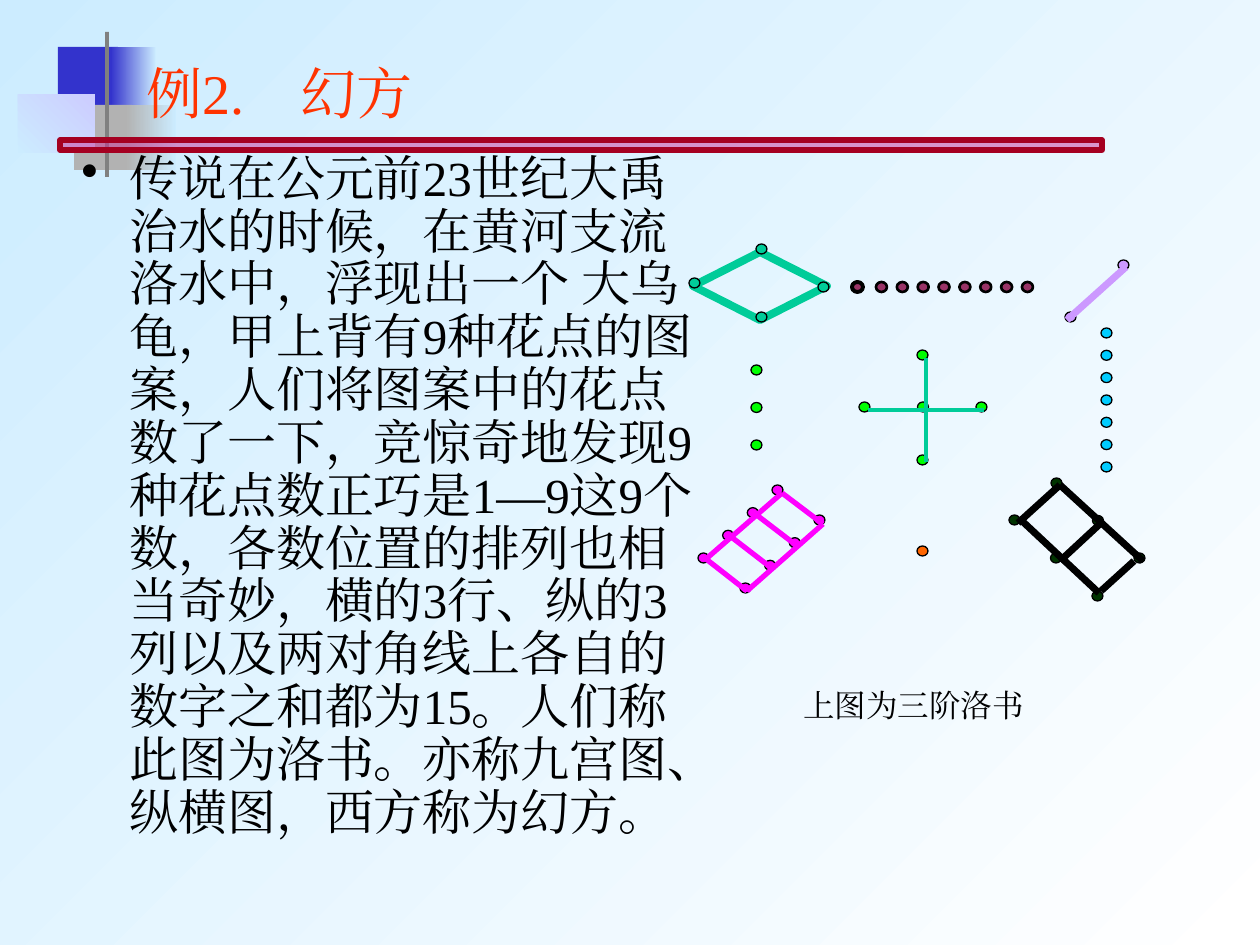
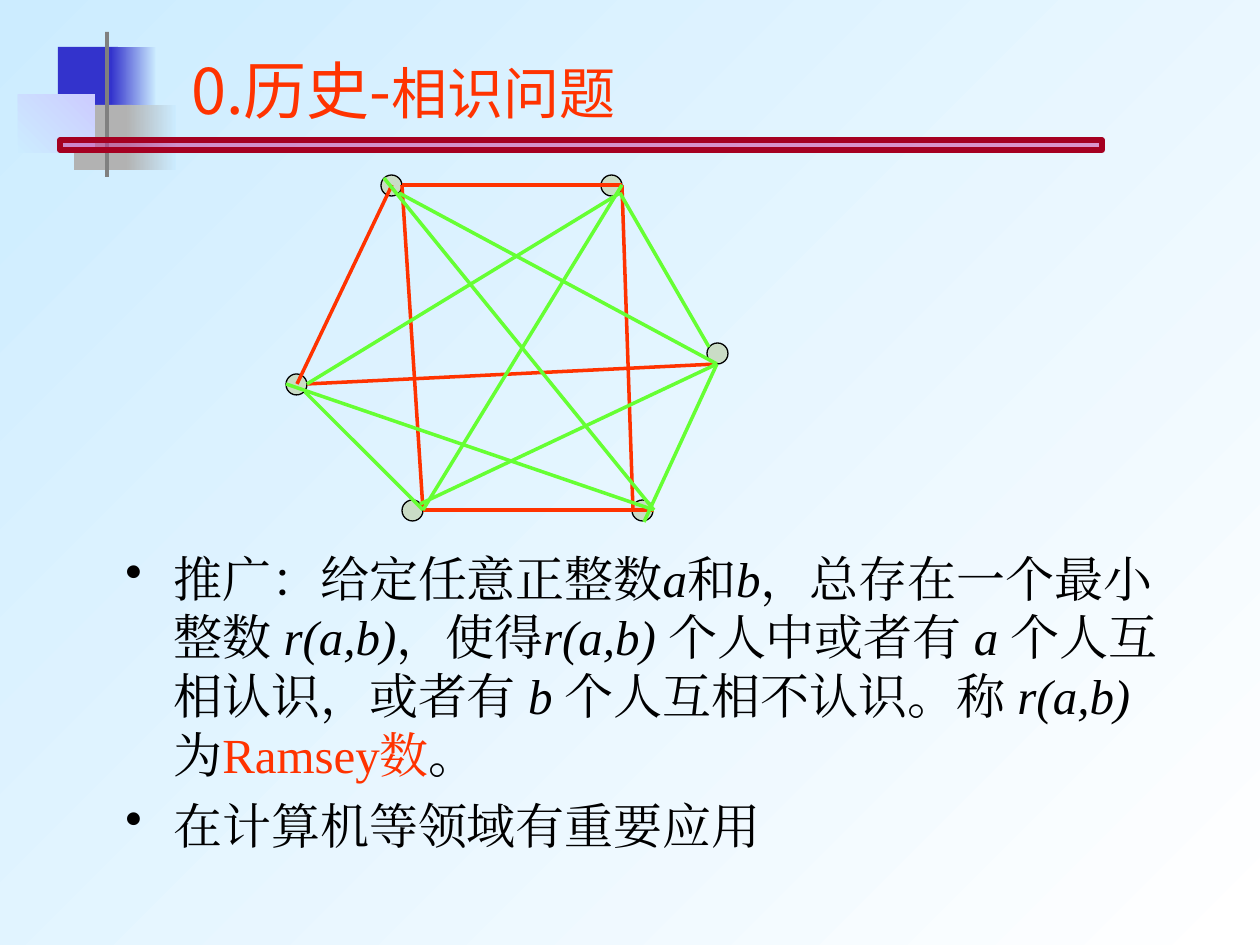
from lxml import etree
from pptx import Presentation
from pptx import util as u
from pptx.dml.color import RGBColor
from pptx.enum import shapes, text
from pptx.oxml.ns import qn

EMU_PER_PX = u.Inches(1) / 126
SLIDE_SIZE = (1260, 945)

COLORS = {
    "sky": "CCECFF", "white": "FFFFFF", "black": "000000", "blue": "3333CC",
    "silver": "B2B2B2", "lavender": "CCCCFF", "gray": "808080",
    "plum": "CC3399", "crimson": "A50021", "red": "FF3300",
    "teal": "00CC99", "wine": "993366", "lilac": "CC99FF", "cyan": "00CCFF",
    "lime": "00FF00", "orange": "FF6600", "pine": "003300",
    "magenta": "FF00FF", "sage": "CADCC6", "green": "66FF33",
}
SERIF = "Times New Roman"
BODY = {"size": 28, "name": SERIF, "color": "black"}
ITALIC = BODY | {"italic": True}
TITLE = {"size": 32, "name": SERIF, "color": "red"}

# Corner decoration: box, fill (one colour, or two colours and an angle)
CORNER = [
    ((58, 47, 60, 65), "blue"),
    ((111, 47, 45, 65), ("blue", "sky", 0)),
    ((74, 105, 58, 65), "silver"),
    ((126, 105, 50, 65), ("silver", "sky", 0)),
    ((18, 95, 77, 58), ("sky", "lavender", 315)),
    ((105, 32, 4, 145), "gray"),
]
TITLE_BAR = (60, 140, 1042, 10)

LUOSHU_TITLE = [("例2.　幻方", TITLE)]
LUOSHU_STORY = [[(
    "传说在公元前23世纪大禹治水的时候，在黄河支流洛水中，浮现出一个 大乌龟，"
    "甲上背有9种花点的图案，人们将图案中的花点数了一下，竞惊奇地发现9种花点数"
    "正巧是1—9这9个数，各数位置的排列也相当奇妙，横的3行、纵的3列以及两对角线上"
    "各自的数字之和都为15。人们称此图为洛书。亦称九宫图、纵横图，西方称为幻方。",
    BODY)]]
LUOSHU_CAPTION = [("上图为三阶洛书", BODY | {"size": 18})]

DIAMOND = (693, 252, 134, 68)
DOT_SIZE = (11, 10)
# Rows of dots: colour, outline width, first corner, last corner, count
DOT_ROWS = [
    ("teal", 0.75, (756, 244), (756, 312), 2),
    ("teal", 0.75, (689, 278), (818, 282), 2),
    ("wine", 2.25, (852, 282), (852, 282), 1),
    ("wine", 1.5, (876, 282), (1022, 282), 8),
    ("lilac", 0.75, (1065, 312), (1118, 260), 2),
    ("cyan", 0.75, (1101, 328), (1101, 462), 7),
    ("lime", 0.75, (751, 365), (751, 440), 3),
    ("orange", 0.75, (917, 546), (917, 546), 1),
    ("pine", 0.75, (1051, 478), (1134, 553), 3),
    ("pine", 0.75, (1009, 515), (1092, 591), 3),
    ("lime", 0.75, (859, 402), (976, 402), 3),
    ("lime", 0.75, (917, 350), (917, 455), 2),
    ("magenta", 0.75, (698, 553), (772, 485), 4),
    ("magenta", 0.75, (740, 583), (814, 515), 4),
]
LADDER_RAILS = [((706, 559), (782, 493)), ((747, 591), (823, 524))]
LADDER_RUNGS = 4
LUOSHU_LINES = [
    ("black", 4, [((1134, 561), (1101, 591)), ((1060, 561), (1101, 523)),
                  ((1018, 523), (1060, 485)), ((1021, 520), (1099, 593)),
                  ((1060, 485), (1143, 561))]),
    ("lilac", 4, [((1126, 267), (1067, 320))]),
    ("magenta", 3, LADDER_RAILS),
    ("teal", 2.5, [((926, 358), (926, 462)), ((868, 410), (984, 410))]),
]

RAMSEY_TITLE = [
    ("0.历史-", TITLE | {"size": 36, "name": "Noto Sans CJK SC"}),
    ("相识问题", TITLE | {"name": "Arial"}),
]
RAMSEY_POINTS = [
    [("推广：给定任意正整数", BODY), ("a", ITALIC), ("和", BODY), ("b", ITALIC),
     ("，总存在一个最小整数 ", BODY), ("r(a,b)", ITALIC), ("，使得", BODY),
     ("r(a,b) ", ITALIC), ("个人中或者有 ", BODY), ("a ", ITALIC),
     ("个人互相认识，或者有 ", BODY), ("b ", ITALIC),
     ("个人互相不认识。称 ", BODY), ("r(a,b) ", ITALIC), ("为", BODY),
     ("Ramsey数", BODY | {"color": "red"}), ("。", BODY)],
    [("在计算机等领域有重要应用", BODY)],
]
PERSON_SIZE = (21, 21)
PEOPLE = [(632, 500), (402, 500), (707, 343), (286, 374), (601, 175), (381, 175)]
RELATIONS = [
    ("red", 2, [((392, 185), (297, 384)), ((402, 185), (622, 185)),
                ((423, 510), (654, 510)), ((402, 185), (423, 510)),
                ((622, 185), (633, 510)), ((307, 384), (717, 364))]),
    ("green", 2, [((305, 392), (423, 510)), ((620, 193), (709, 347)),
                  ((717, 364), (644, 522)), ((622, 185), (423, 510)),
                  ((384, 178), (654, 510)), ((399, 193), (717, 364)),
                  ((620, 193), (307, 384)), ((420, 504), (717, 364)),
                  ((286, 384), (654, 510))]),
]


def px(*lengths):
    return [u.Emu(round(length * EMU_PER_PX)) for length in lengths]


def rgb(name):
    return RGBColor.from_string(COLORS[name])


def spread(first, last, count):
    """Return count evenly spaced points from first to last."""
    gaps = max(count - 1, 1)
    return [tuple(a + (b - a) * i / gaps for a, b in zip(first, last))
            for i in range(count)]


def paint(fill, color):
    """Fill with nothing, one colour, or a (start, end, clockwise angle) gradient."""
    if color is None:
        fill.background()
    elif isinstance(color, str):
        fill.solid()
        fill.fore_color.rgb = rgb(color)
    else:
        *ends, angle = color
        fill.gradient()
        fill.gradient_angle = (360 - angle) % 360
        for stop, end in zip(fill.gradient_stops, ends):
            stop.color.rgb = rgb(end)


def add_figure(slide, kind, box, fill=None, line=None, width=0.75):
    figure = slide.shapes.add_shape(kind, *px(*box))
    figure.shadow.inherit = False
    paint(figure.fill, fill)
    paint(figure.line.fill, line)
    if line:
        figure.line.width = u.Pt(width)
    return figure


def add_lines(slide, groups):
    for color, width, segments in groups:
        for start, end in segments:
            line = slide.shapes.add_connector(
                shapes.MSO_CONNECTOR.STRAIGHT, *px(*start, *end))
            line.line.color.rgb = rgb(color)
            line.line.width = u.Pt(width)
            etree.SubElement(line._element.spPr, qn("a:effectLst"))


def add_text(slide, box, paragraphs, pitch=None, anchor=text.MSO_ANCHOR.TOP):
    """Add a text box; a line pitch in points makes its paragraphs bulleted."""
    frame = slide.shapes.add_textbox(*px(*box)).text_frame
    frame.word_wrap = True
    frame.vertical_anchor = anchor
    for number, runs in enumerate(paragraphs):
        paragraph = frame.add_paragraph() if number else frame.paragraphs[0]
        if pitch:
            add_bullet(paragraph, pitch)
        for words, style in runs:
            run = paragraph.add_run()
            run.text = words
            run.font.color.rgb = rgb(style["color"])
            for key, value in style.items():
                if key != "color":
                    setattr(run.font, key, u.Pt(value) if key == "size" else value)
            east_asian = etree.SubElement(run.font._element, qn("a:ea"))
            east_asian.set("typeface", style["name"])


def add_bullet(paragraph, pitch):
    paragraph.line_spacing = u.Pt(pitch)
    paragraph.space_before = u.Pt(7)
    properties = paragraph._p.get_or_add_pPr()
    indent = px(48)[0]
    properties.set("marL", str(indent))
    properties.set("indent", str(-indent))
    color = etree.SubElement(properties, qn("a:buClr"))
    etree.SubElement(color, qn("a:srgbClr")).set("val", COLORS["black"])
    etree.SubElement(properties, qn("a:buChar")).set("char", "•")


def new_slide(deck, title, title_box):
    """Add a slide with the shared background, decoration and title."""
    slide = deck.slides.add_slide(deck.slide_layouts[6])
    paint(slide.background.fill, ("sky", "white", 45))
    rectangle = shapes.MSO_SHAPE.RECTANGLE
    for box, fill in CORNER:
        add_figure(slide, rectangle, box, fill)
    bar = add_figure(slide, rectangle, TITLE_BAR, "plum", "crimson", 3)
    bar_color = bar._element.spPr.find(f"{qn('a:solidFill')}/{qn('a:srgbClr')}")
    etree.SubElement(bar_color, qn("a:alpha")).set("val", "50000")
    add_text(slide, title_box, [title], anchor=text.MSO_ANCHOR.MIDDLE)
    return slide


def build_luoshu(deck):
    slide = new_slide(deck, LUOSHU_TITLE, (134, 45, 557, 95))
    add_text(slide, (69, 147, 644, 760), LUOSHU_STORY, pitch=30.2)
    add_figure(slide, shapes.MSO_SHAPE.DIAMOND, DIAMOND, None, "teal", 4.5)
    for color, width, first, last, count in DOT_ROWS:
        for corner in spread(first, last, count):
            add_figure(slide, shapes.MSO_SHAPE.OVAL, corner + DOT_SIZE,
                       color, "black", width)
    rungs = zip(*(spread(*rail, LADDER_RUNGS) for rail in LADDER_RAILS))
    add_lines(slide, LUOSHU_LINES + [("magenta", 3, rungs)])
    add_text(slide, (791, 680, 469, 50), [LUOSHU_CAPTION])


def build_ramsey(deck):
    slide = new_slide(deck, RAMSEY_TITLE, (179, 53, 620, 73))
    for corner in PEOPLE:
        add_figure(slide, shapes.MSO_SHAPE.OVAL, corner + PERSON_SIZE,
                   "sage", "black")
    add_lines(slide, RELATIONS)
    add_text(slide, (113, 542, 1077, 364), RAMSEY_POINTS, pitch=33.6)


def main():
    deck = Presentation()
    deck.slide_width, deck.slide_height = px(*SLIDE_SIZE)
    build_luoshu(deck)
    build_ramsey(deck)
    deck.save("out.pptx")


if __name__ == "__main__":
    main()
